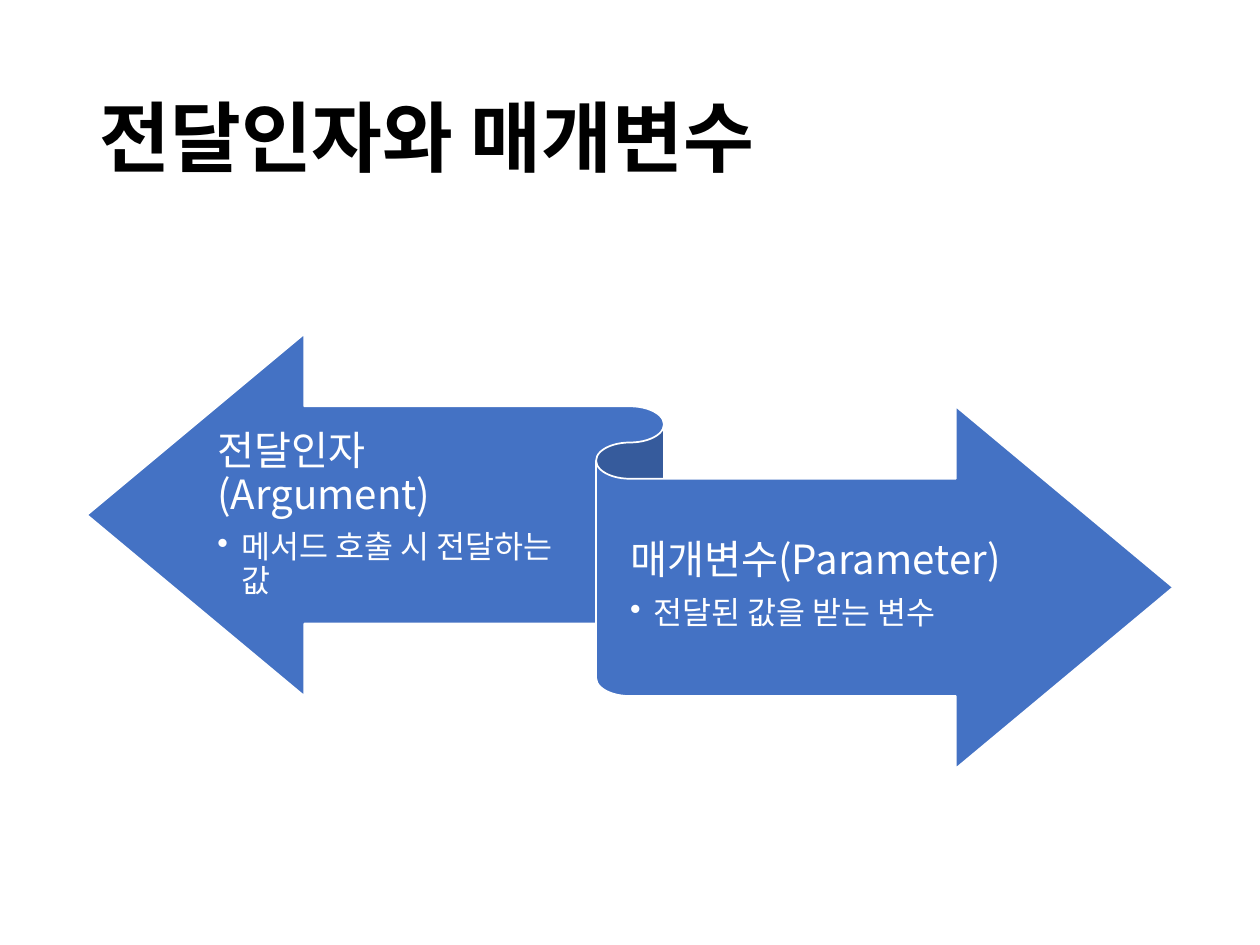
from lxml.etree import SubElement
from pptx import Presentation
from pptx.dml.color import RGBColor
from pptx.enum.shapes import MSO_SHAPE
from pptx.enum.text import MSO_ANCHOR
from pptx.oxml.ns import qn
from pptx.util import Inches, Pt

BLACK = RGBColor(0x00, 0x00, 0x00)
WHITE = RGBColor(0xFF, 0xFF, 0xFF)
BLUE = RGBColor(0x44, 0x72, 0xC4)

WIDTH, HEIGHT = 10, 7.5
MARGIN = 0.69
COLUMN = (WIDTH - 2 * MARGIN) / 100
ROW = HEIGHT / 100


def apply(target, values):
    for name, value in values.items():
        setattr(target, name, value)


class SlideBuilder:
    font_name = "Noto Sans CJK KR"
    title_format = {"size": Pt(44), "bold": True}
    heading_format = {"size": Pt(23)}
    bullet_format = {"size": Pt(18)}
    indent = Inches(0.19)

    def __init__(self, deck):
        self.page = deck.slides.add_slide(deck.slide_layouts[6])

    def place(self, column, row, columns, rows):
        return (
            Inches(MARGIN + column * COLUMN),
            Inches(row * ROW),
            Inches(columns * COLUMN),
            Inches(rows * ROW),
        )

    def text_box(self, area, margins):
        box = self.page.shapes.add_textbox(*self.place(*area))
        left, top, right, bottom = map(Inches, margins)
        apply(box.text_frame, {
            "word_wrap": True,
            "vertical_anchor": MSO_ANCHOR.MIDDLE,
            "margin_left": left,
            "margin_top": top,
            "margin_right": right,
            "margin_bottom": bottom,
        })
        return box.text_frame

    def add_text(self, para, text, font_format, color, space_after=0):
        apply(para, {"line_spacing": 0.9, "space_after": Pt(space_after)})
        span = para.add_run()
        span.text = text
        apply(span.font, {"name": self.font_name, **font_format})
        span.font.color.rgb = color
        SubElement(span.font._element, qn("a:ea"), typeface=self.font_name)

    def add_bullet(self, para):
        properties = para._p.get_or_add_pPr()
        properties.set("marL", str(self.indent))
        properties.set("indent", str(-self.indent))
        SubElement(properties, qn("a:buChar"), char="•")

    def title(self, text, area):
        frame = self.text_box(area, (0.1, 0.05, 0.1, 0.05))
        self.add_text(frame.paragraphs[0], text, self.title_format, BLACK)

    def ribbon(self, area):
        shape = self.page.shapes.add_shape(
            MSO_SHAPE.LEFT_RIGHT_RIBBON, *self.place(*area))
        shape.shadow.inherit = False
        shape.fill.solid()
        shape.fill.fore_color.rgb = BLUE
        shape.line.color.rgb = WHITE
        shape.line.width = Pt(1)

    def definition(self, heading, bullet, area):
        frame = self.text_box(area, (0, 0.09, 0, 0.1))
        self.add_text(
            frame.paragraphs[0], heading, self.heading_format, WHITE, 8)
        para = frame.add_paragraph()
        self.add_text(para, bullet, self.bullet_format, WHITE, 3)
        self.add_bullet(para)


def main():
    deck = Presentation()
    apply(deck, {"slide_width": Inches(WIDTH), "slide_height": Inches(HEIGHT)})
    builder = SlideBuilder(deck)
    builder.title("전달인자와 매개변수", (0, 5.33, 100, 19.33))
    builder.ribbon((0, 35.33, 100, 46))
    builder.definition(
        "전달인자(Argument)", "메서드 호출 시 전달하는 값", (12, 43.33, 33, 22.53))
    builder.definition(
        "매개변수(Parameter)", "전달된 값을 받는 변수", (50, 50.8, 39, 22.53))
    deck.save("out.pptx")


if __name__ == "__main__":
    main()
